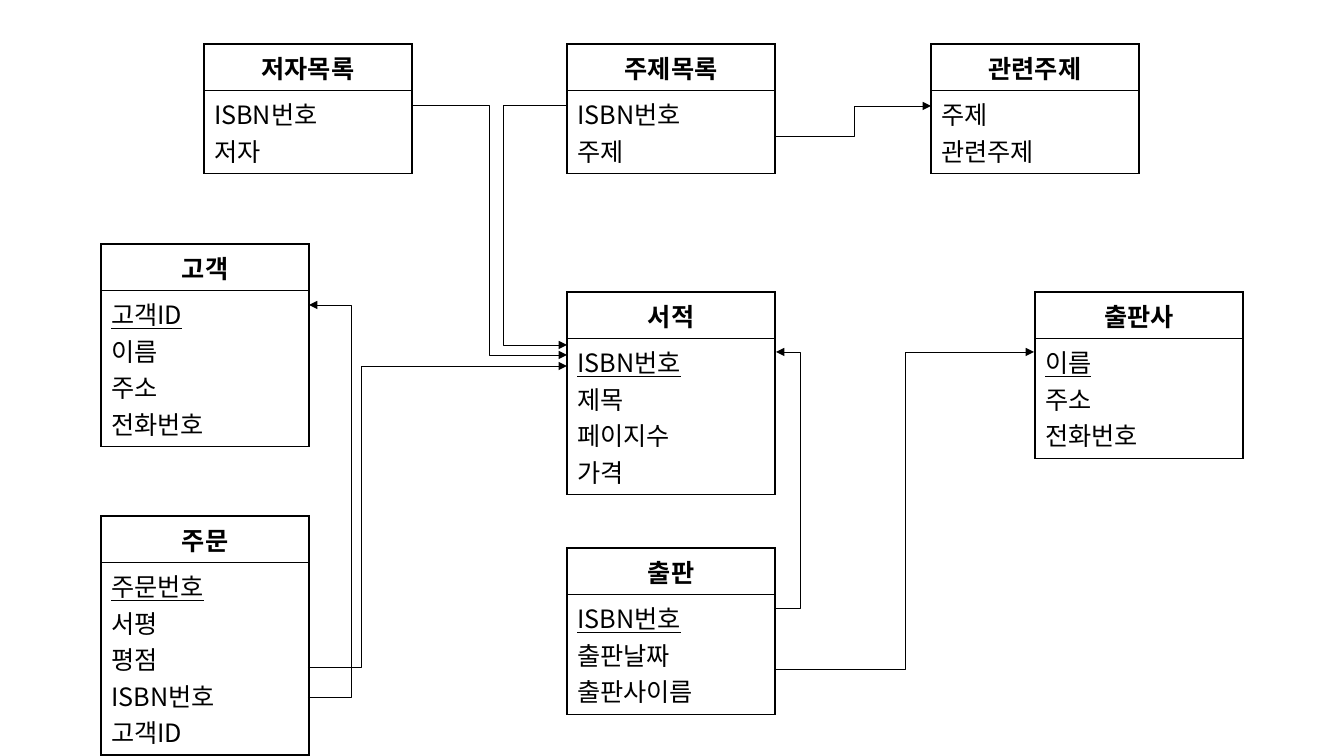
import lxml.etree
import pptx
import pptx.dml.color
import pptx.enum.shapes
import pptx.enum.text
import pptx.oxml.ns
import pptx.util

BLACK = pptx.dml.color.RGBColor(0, 0, 0)
WHITE = pptx.dml.color.RGBColor(255, 255, 255)
FONT = "Noto Sans CJK KR"
SCALE = 914400 / 100.8
WIDTH, HEAD, LINE, PAD = 208, 46, 36, 10

TABLES = [
    (567, 292, "서적", ["ISBN번호", "제목", "페이지수", "가격"], True),
    (1035, 292, "출판사", ["이름", "주소", "전화번호"], True),
    (101, 244, "고객", ["고객ID", "이름", "주소", "전화번호"], True),
    (101, 516, "주문", ["주문번호", "서평", "평점", "ISBN번호", "고객ID"], True),
    (567, 548, "출판", ["ISBN번호", "출판날짜", "출판사이름"], True),
    (204, 44, "저자목록", ["ISBN번호", "저자"], False),
    (567, 44, "주제목록", ["ISBN번호", "주제"], False),
    (931, 44, "관련주제", ["주제", "관련주제"], False),
]

LINKS = [
    (776, 669, 905, 1034, 352),
    (775, 608, 801, 776, 352),
    (308, 697, 352, 309, 305),
    (308, 667, 361, 567, 366),
    (566, 105, 503, 567, 345),
    (776, 136, 854, 931, 106),
    (412, 105, 489, 567, 355),
]


def px(size):
    return pptx.util.Emu(round(size * SCALE))


def add(node, tag, **attrs):
    name = pptx.oxml.ns.qn(tag)
    return lxml.etree.SubElement(node, name, attrs)


def style(para, bold=False, under=False):
    font = para.font
    font.name = FONT
    font.size = pptx.util.Pt(18)
    font.bold = bold
    font.underline = under
    font.color.rgb = BLACK
    props = para._p.pPr.find(pptx.oxml.ns.qn("a:defRPr"))
    add(props, "a:ea", typeface=FONT)


def frame(cell):
    props = cell._tc.get_or_add_tcPr()
    for side in ("a:lnL", "a:lnR", "a:lnT", "a:lnB"):
        edge = add(props, side, w=str(pptx.util.Pt(1)))
        fill = add(edge, "a:solidFill")
        add(fill, "a:srgbClr", val=str(BLACK))
    cell.fill.solid()
    cell.fill.fore_color.rgb = WHITE


def add_entity(slide, left, top, title, fields, keyed):
    body = LINE * len(fields) + PAD
    shape = slide.shapes.add_table(
        2, 1, px(left), px(top), px(WIDTH), px(HEAD + body))
    table = shape.table
    table.first_row = False
    table.horz_banding = False
    table.rows[0].height = px(HEAD)
    table.rows[1].height = px(body)
    head, list_cell = table.cell(0, 0), table.cell(1, 0)
    frame(head)
    frame(list_cell)
    head.text = title
    para = head.text_frame.paragraphs[0]
    para.alignment = pptx.enum.text.PP_ALIGN.CENTER
    style(para, bold=True)
    list_cell.text = "\n".join(fields)
    for rank, para in enumerate(list_cell.text_frame.paragraphs):
        style(para, under=keyed and rank == 0)


def add_link(slide, left, top, bend, right, end):
    kind = pptx.enum.shapes.MSO_CONNECTOR.ELBOW
    link = slide.shapes.add_connector(
        kind, px(left), px(top), px(right), px(end))
    link.line.color.rgb = BLACK
    link.line.width = pptx.util.Pt(0.5)
    add(link.line._get_or_add_ln(), "a:tailEnd", type="triangle")
    props = link._element.spPr
    ratio = round((bend - left) / (right - left) * 100000)
    guides = props.find(".//" + pptx.oxml.ns.qn("a:avLst"))
    add(guides, "a:gd", name="adj1", fmla=f"val {ratio}")
    add(props, "a:effectLst")


def main():
    deck = pptx.Presentation()
    deck.slide_width = px(1344)
    deck.slide_height = px(756)
    slide = deck.slides.add_slide(deck.slide_layouts[6])
    for entry in TABLES:
        add_entity(slide, *entry)
    for route in LINKS:
        add_link(slide, *route)
    deck.save("out.pptx")


main()
